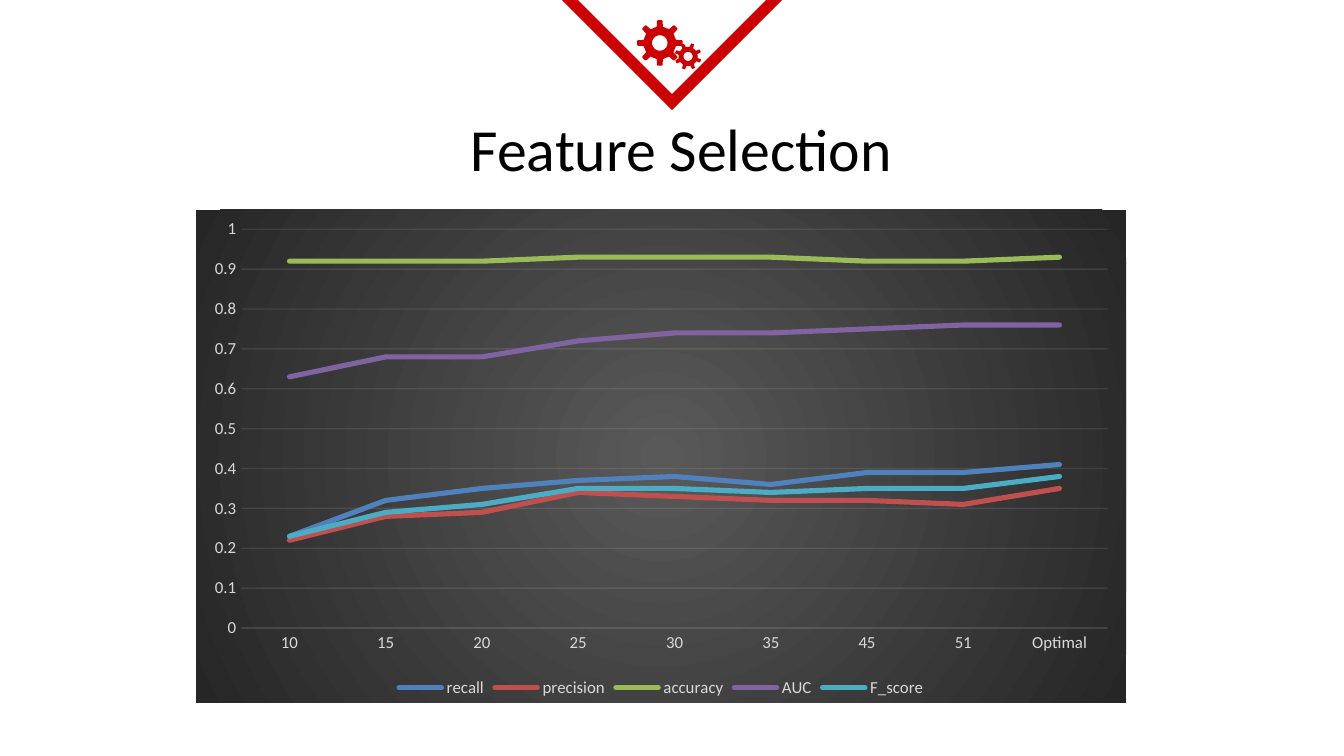
from math import cos, pi, sin

from lxml import etree
from pptx import Presentation
from pptx.chart.data import CategoryChartData
from pptx.dml.color import RGBColor
from pptx.enum.chart import XL_CHART_TYPE as ChartType
from pptx.enum.chart import XL_LEGEND_POSITION as LegendPosition
from pptx.enum.chart import XL_TICK_MARK as TickMark
from pptx.enum.shapes import MSO_SHAPE as Preset
from pptx.enum.text import MSO_ANCHOR as Anchor
from pptx.enum.text import MSO_AUTO_SIZE as AutoSize
from pptx.enum.text import PP_ALIGN as Align
from pptx.oxml import parse_xml
from pptx.oxml.ns import nsdecls, qn
from pptx.util import Inches, Pt

FONT = "Calibri"
RED = RGBColor(0xCC, 0x00, 0x00)
BLACK = RGBColor(0x00, 0x00, 0x00)
LABEL_GRAY = RGBColor(0xD9, 0xD9, 0xD9)
GRID_GRAY = RGBColor(0xF2, 0xF2, 0xF2)
PANEL_CENTER = RGBColor(0x59, 0x59, 0x59)
PANEL_EDGE = RGBColor(0x26, 0x26, 0x26)

FEATURE_COUNTS = ["10", "15", "20", "25", "30", "35", "45", "51", "Optimal"]
SCORES = {
    "recall": (RGBColor(0x4F, 0x81, 0xBD),
               [0.23, 0.32, 0.35, 0.37, 0.38, 0.36, 0.39, 0.39, 0.41]),
    "precision": (RGBColor(0xC0, 0x50, 0x4D),
                  [0.22, 0.28, 0.29, 0.34, 0.33, 0.32, 0.32, 0.31, 0.35]),
    "accuracy": (RGBColor(0x9B, 0xBB, 0x59),
                 [0.92, 0.92, 0.92, 0.93, 0.93, 0.93, 0.92, 0.92, 0.93]),
    "AUC": (RGBColor(0x80, 0x64, 0xA2),
            [0.63, 0.68, 0.68, 0.72, 0.74, 0.74, 0.75, 0.76, 0.76]),
    "F_score": (RGBColor(0x4B, 0xAC, 0xC6),
                [0.23, 0.29, 0.31, 0.35, 0.35, 0.34, 0.35, 0.35, 0.38]),
}


def format_font(font, size, color):
    font.name, font.size, font.bold = FONT, Pt(size), False
    font.color.rgb = color


def write_text(frame, text, size=18, color=BLACK, align=Align.LEFT, anchor=Anchor.TOP, margin=0.1):
    frame.word_wrap = True
    frame.auto_size = AutoSize.NONE
    frame.vertical_anchor = anchor
    frame.margin_left = frame.margin_right = Inches(margin)
    frame.margin_top = frame.margin_bottom = Inches(margin)
    paragraph = frame.paragraphs[0]
    paragraph.alignment = align
    run = paragraph.add_run()
    run.text = text
    format_font(run.font, size, color)


def add_gear(slide, center_x, center_y, radius, teeth=8, turn=0.0):
    """Draw a toothed wheel with a round hole."""
    def ring_point(share, angle):
        return (Inches(center_x + radius * share * sin(angle)),
                Inches(center_y - radius * share * cos(angle)))

    step = 2 * pi / teeth
    # Each tooth: root, tip, tip, root, given as (share of radius, share of step)
    tooth = [(0.72, -0.24), (0.97, -0.16), (1, -0.11), (1, 0.11), (0.97, 0.16), (0.72, 0.24)]
    rim = [ring_point(share, (index + turn + offset) * step)
           for index in range(teeth) for share, offset in tooth]
    hole = [ring_point(0.34, -2 * pi * index / 32) for index in range(32)]

    builder = slide.shapes.build_freeform(*rim[0])
    builder.add_line_segments(rim[1:], close=True)
    builder.move_to(*hole[0])
    builder.add_line_segments(hole[1:], close=True)
    gear = builder.convert_to_shape()
    gear.fill.solid()
    gear.fill.fore_color.rgb = RED
    gear.line.fill.background()
    gear.shadow.inherit = False


def add_badge(slide, left, top, width, height):
    # Red outline pointing down from the top edge
    pointer = slide.shapes.add_shape(Preset.ISOSCELES_TRIANGLE, Inches(left), Inches(top),
                                     Inches(width), Inches(height))
    pointer.rotation = 180
    pointer.shadow.inherit = False
    pointer.fill.background()
    pointer.line.color.rgb = RED
    pointer.line.width = Pt(6)
    miter = etree.SubElement(pointer.line._get_or_add_ln(), qn("a:miter"))
    miter.set("lim", "800000")

    # Gears
    add_gear(slide, left + 0.73, top + 0.38, 0.17)
    add_gear(slide, left + 0.94, top + 0.48, 0.1, turn=0.45)


def add_title(slide, left, top, width, height):
    title = slide.shapes.title
    title.left, title.top = Inches(left), Inches(top)
    title.width, title.height = Inches(width), Inches(height)
    write_text(title.text_frame, "Feature Selection", size=32, align=Align.CENTER)


def format_faint_line(line):
    line.color.rgb = GRID_GRAY
    line.width = Pt(0.75)
    color = line._get_or_add_ln().find(".//" + qn("a:srgbClr"))
    etree.SubElement(color, qn("a:alpha")).set("val", "10000")


def fill_panel(chart):
    """Give the chart area a radial gradient."""
    chart._chartSpace.find(qn("c:chart")).addnext(parse_xml(
        f'<c:spPr {nsdecls("c", "a")}><a:gradFill><a:gsLst>'
        f'<a:gs pos="0"><a:srgbClr val="{PANEL_CENTER}"/></a:gs>'
        f'<a:gs pos="100000"><a:srgbClr val="{PANEL_EDGE}"/></a:gs></a:gsLst>'
        '<a:path path="circle"><a:fillToRect l="50000" t="50000" r="50000" b="50000"/></a:path>'
        '</a:gradFill><a:ln><a:noFill/></a:ln></c:spPr>'))


def add_score_chart(slide, left, top, width, height):
    data = CategoryChartData()
    data.categories = FEATURE_COUNTS
    for name, (_, values) in SCORES.items():
        data.add_series(name, values)
    chart = slide.shapes.add_chart(ChartType.LINE, Inches(left), Inches(top),
                                   Inches(width), Inches(height), data).chart
    chart.has_title = False
    format_font(chart.font, 10, BLACK)
    fill_panel(chart)

    # Score lines
    plot = chart.plots[0]
    plot.vary_by_categories = False
    for series, (color, _) in zip(plot.series, SCORES.values()):
        series.smooth = False
        series.format.line.color.rgb = color
        series.format.line.width = Pt(2.75)
        series.format.line._get_or_add_ln().set("cap", "rnd")

    # Axes
    count_axis, score_axis = chart.category_axis, chart.value_axis
    for axis in (count_axis, score_axis):
        axis.major_tick_mark = axis.minor_tick_mark = TickMark.NONE
        format_font(axis.tick_labels.font, 9, LABEL_GRAY)
    format_faint_line(count_axis.format.line)
    score_axis.minimum_scale, score_axis.maximum_scale = 0, 1
    score_axis.major_unit = 0.1
    score_axis.format.line.fill.background()
    format_faint_line(score_axis.major_gridlines.format.line)

    # Legend
    chart.has_legend = True
    chart.legend.position = LegendPosition.BOTTOM
    chart.legend.include_in_layout = False
    format_font(chart.legend.font, 9, LABEL_GRAY)


def main():
    deck = Presentation()
    deck.slide_width = Inches(10)
    deck.slide_height = deck.slide_width * 9 // 16
    slide = deck.slides.add_slide(deck.slide_layouts.get_by_name("Title Only"))
    add_badge(slide, 4.18, -0.06, 1.64, 0.82)
    add_title(slide, 3.11, 0.73, 3.92, 0.59)
    add_score_chart(slide, 1.46, 1.56, 6.92, 3.67)
    deck.save("out.pptx")


if __name__ == "__main__":
    main()
